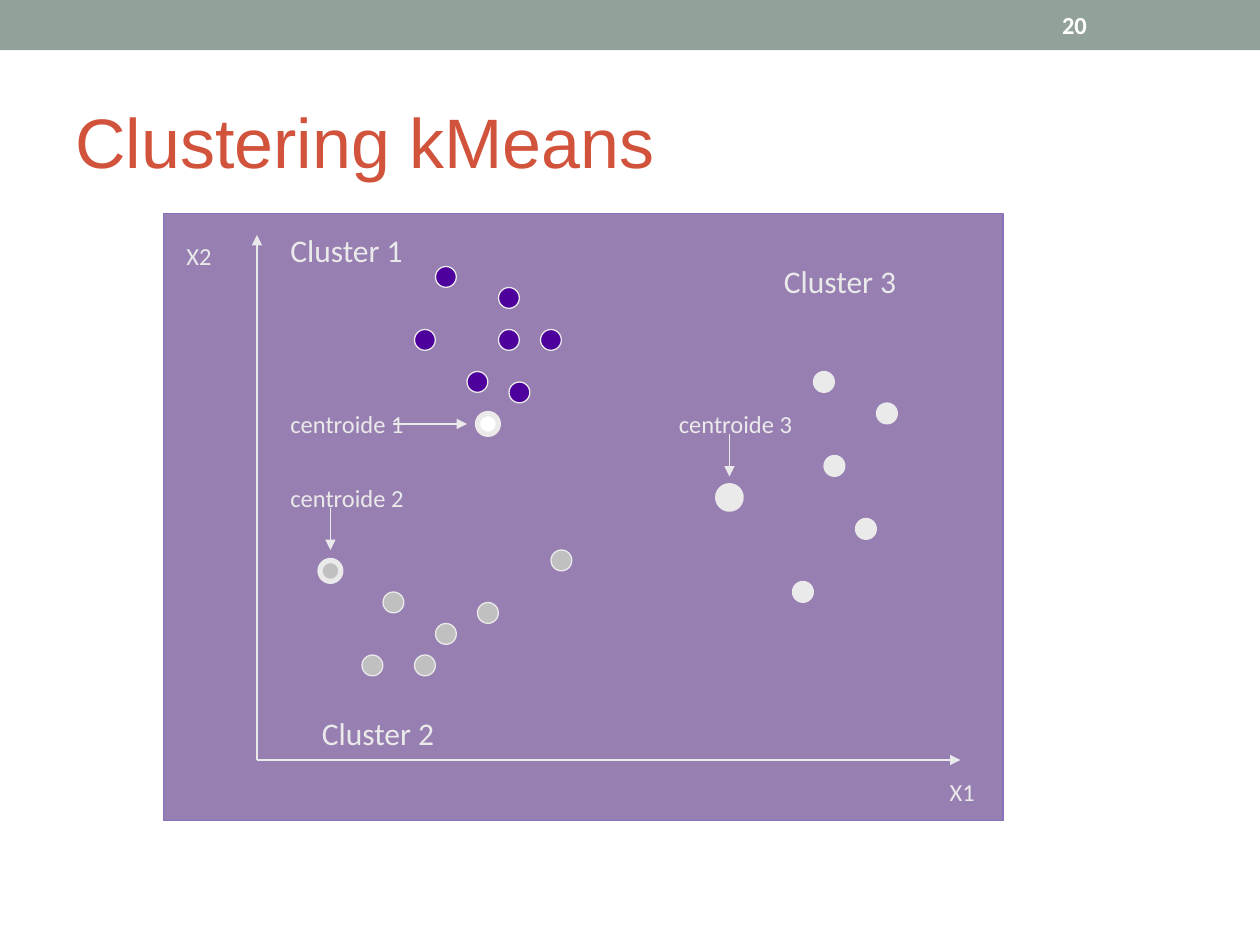
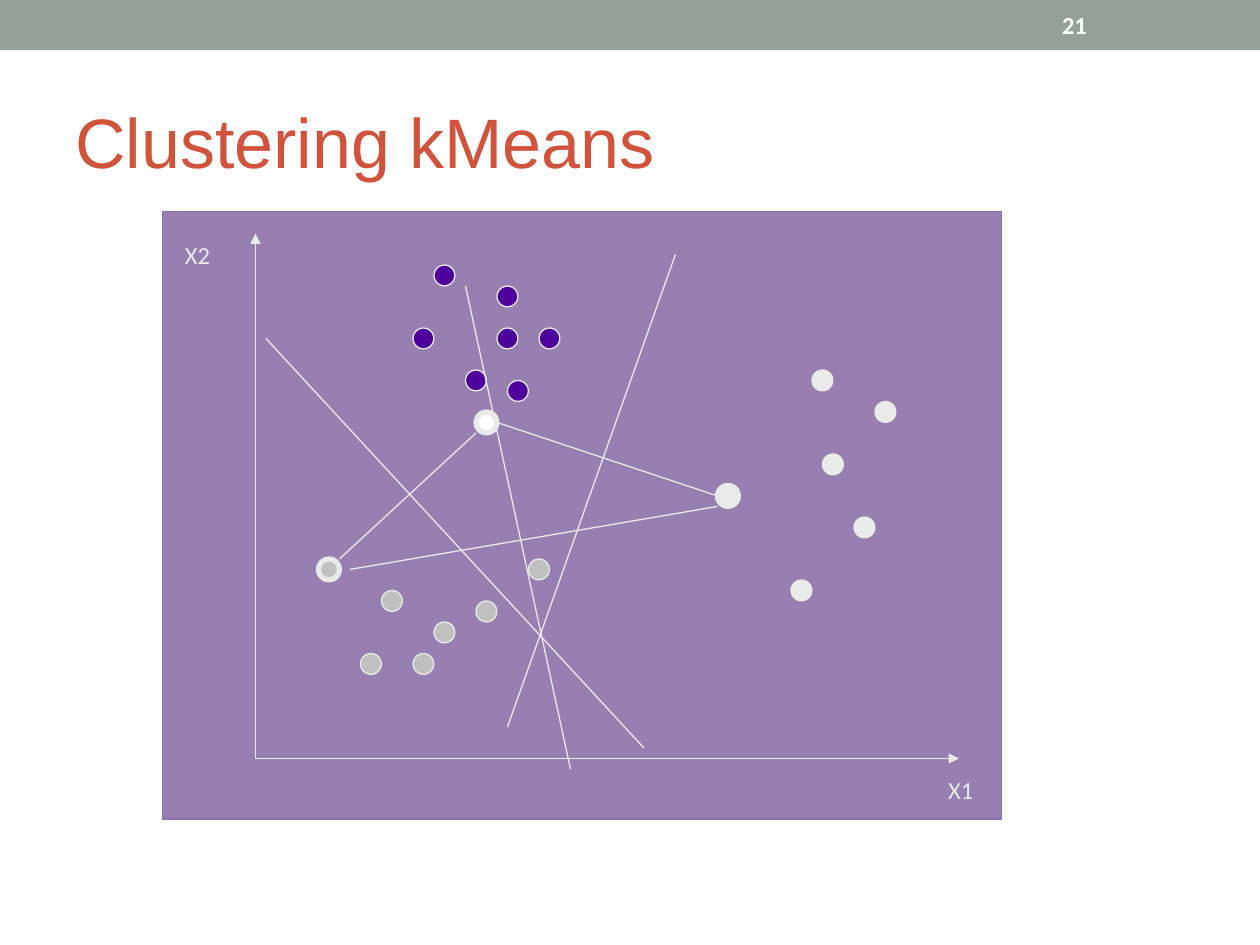
from pptx import Presentation
from pptx.dml.color import RGBColor
from pptx.enum.shapes import MSO_CONNECTOR, MSO_SHAPE
from pptx.enum.text import MSO_ANCHOR, MSO_AUTO_SIZE
from pptx.oxml.ns import qn
from pptx.util import Cm, Pt
from lxml.etree import SubElement

# Content: chart positions count in grid units from the origin of the axes
TITLE = "Clustering kMeans"
CLUSTERS = [
    ("violet", [(18, 46), (16, 40), (24, 44), (24, 40), (21, 36), (25, 35), (28, 40)]),
    ("silver", [(13, 15), (11, 9), (16, 9), (18, 12), (22, 14)]),
    ("pale", [(54, 36), (60, 33), (55, 28), (58, 22), (52, 16)]),
]
CENTROIDS = [("white", (22, 32)), ("silver", (7, 18)), ("pale", (45, 25))]
AXES = [((0, 0), (0, 50)), ((0, 0), (67, 0))]
AXIS_LABELS = [("X1", (64.8, -1), 14), ("X2", (-7.9, 50), 14)]

SLIDES = [
    {
        "number": "20",
        "origin": (5.18, 15.32),
        "moving_point": (29, 19),
        "ring_3": 4.5,
        "labels": [
            ("centroide 1", (2, 34), 14), ("centroide 2", (2, 27), 14),
            ("centroide 3", (39, 34), 14), ("Cluster 1", (2, 51), 18),
            ("Cluster 2", (5, 5), 18), ("Cluster 3", (49, 48), 18),
        ],
        "arrows": [((13, 32), (20, 32)), ((7, 24), (7, 20)), ((45, 31), (45, 27))],
        "lines": [],
    },
    {
        "number": "21",
        "origin": (5.15, 15.29),
        "moving_point": (27, 18),
        "ring_3": 3,
        "labels": [],
        "arrows": [],
        "lines": [
            # Sides of the triangle between centroids
            ((8, 19), (21, 31)), ((23, 32), (44, 25)), ((9, 18), (44, 24)),
            # Borders between clusters
            ((1, 40), (37, 1)), ((40, 48), (24, 3)), ((20, 45), (30, -1)),
        ],
    },
]

# Shared look
COLORS = {"band": "93A299", "title": "D2533C", "panel": "330066", "edge": "8871BB",
          "violet": "4E009C", "silver": "C0C0C0", "pale": "EAEAEA", "white": "FFFFFF"}
UNIT = 2.54 / 12
DOT = 0.42
PANEL_SIZE = (16.92, 12.24)
PANEL_OFFSET = (-1.88, -11.02)
LABEL_WIDTHS = {"X": 1.02, "c": 2.79, "C": 2.79}


def color(name):
    return RGBColor.from_string(COLORS[name])


def add_shape(s, kind, box, fill, line=None, width=0.75):
    sp = s.shapes.add_shape(kind, *map(Cm, box))
    sp.shadow.inherit = False
    sp.fill.solid()
    sp.fill.fore_color.rgb = color(fill)
    if line:
        sp.line.color.rgb = color(line)
        sp.line.width = Pt(width)
    else:
        sp.line.fill.background()
    return sp


def add_text(s, text, box, size, name, font="Calibri", bold=False, label=False):
    sp = s.shapes.add_textbox(*map(Cm, box))
    tf = sp.text_frame
    tf.word_wrap = not label
    tf.auto_size = MSO_AUTO_SIZE.SHAPE_TO_FIT_TEXT if label else MSO_AUTO_SIZE.NONE
    tf.vertical_anchor = MSO_ANCHOR.TOP if label else MSO_ANCHOR.MIDDLE
    r = tf.paragraphs[0].add_run()
    r.text = text
    r.font.name, r.font.size, r.font.bold = font, Pt(size), bold
    r.font.color.rgb = color(name)


def add_frame(s, number):
    add_shape(s, MSO_SHAPE.RECTANGLE, (0, 0, 25.4, 1.01), "band")
    add_text(s, TITLE, (1.27, 1.47, 22.86, 2.74), 40, "title", font="Arial")
    add_text(s, number, (21.16, 0.05, 2.97, 0.91), 14, "white", bold=True)


def add_plot(s, data):
    x0, y0 = data["origin"]

    def place(point):
        return x0 + point[0] * UNIT, y0 - point[1] * UNIT

    def add_line(start, end, arrow=False):
        cx = s.shapes.add_connector(MSO_CONNECTOR.STRAIGHT,
                                    *map(Cm, place(start) + place(end)))
        cx.line.color.rgb = color("pale")
        cx.line.width = Pt(0.75)
        if arrow:
            SubElement(cx.line._get_or_add_ln(), qn("a:tailEnd"), type="triangle")
        SubElement(cx._element.spPr, qn("a:effectLst"))

    def add_dot(point, fill, width=0.75):
        x, y = place(point)
        add_shape(s, MSO_SHAPE.OVAL, (x - DOT / 2, y - DOT / 2, DOT, DOT),
                  fill, "pale", width)

    # Half-transparent panel and axes
    corner = (x0 + PANEL_OFFSET[0], y0 + PANEL_OFFSET[1])
    panel = add_shape(s, MSO_SHAPE.RECTANGLE, corner + PANEL_SIZE, "panel", "edge")
    fill = panel._element.spPr.find(qn("a:solidFill"))
    SubElement(fill[0], qn("a:alpha"), val="50000")
    for start, end in AXES + data["arrows"]:
        add_line(start, end, arrow=True)

    # Points and ringed centroids
    for name, points in CLUSTERS:
        for point in points:
            add_dot(point, name)
    add_dot(data["moving_point"], "silver")
    for (name, point), ring in zip(CENTROIDS, (3, 3, data["ring_3"])):
        add_dot(point, name, ring)

    # Labels and plain lines
    for text, point, size in AXIS_LABELS + data["labels"]:
        height = 0.86 if size == 14 else 1.02
        add_text(s, text, place(point) + (LABEL_WIDTHS[text[0]], height),
                 size, "pale", label=True)
    for start, end in data["lines"]:
        add_line(start, end)


def main():
    prs = Presentation()
    prs.slide_width, prs.slide_height = Cm(25.4), Cm(19.05)
    for data in SLIDES:
        s = prs.slides.add_slide(prs.slide_layouts[6])
        add_frame(s, data["number"])
        add_plot(s, data)
    prs.save("out.pptx")


if __name__ == "__main__":
    main()
